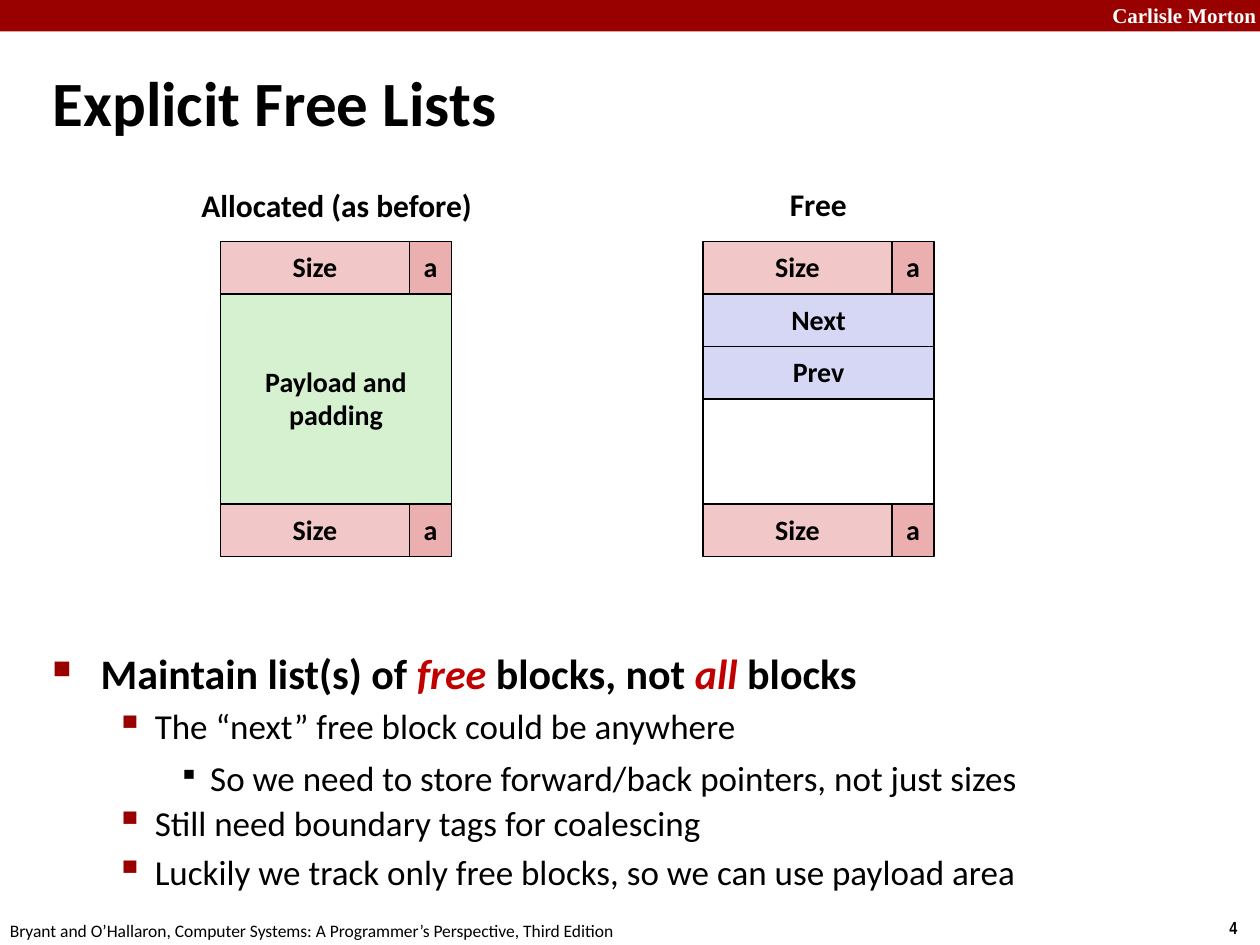
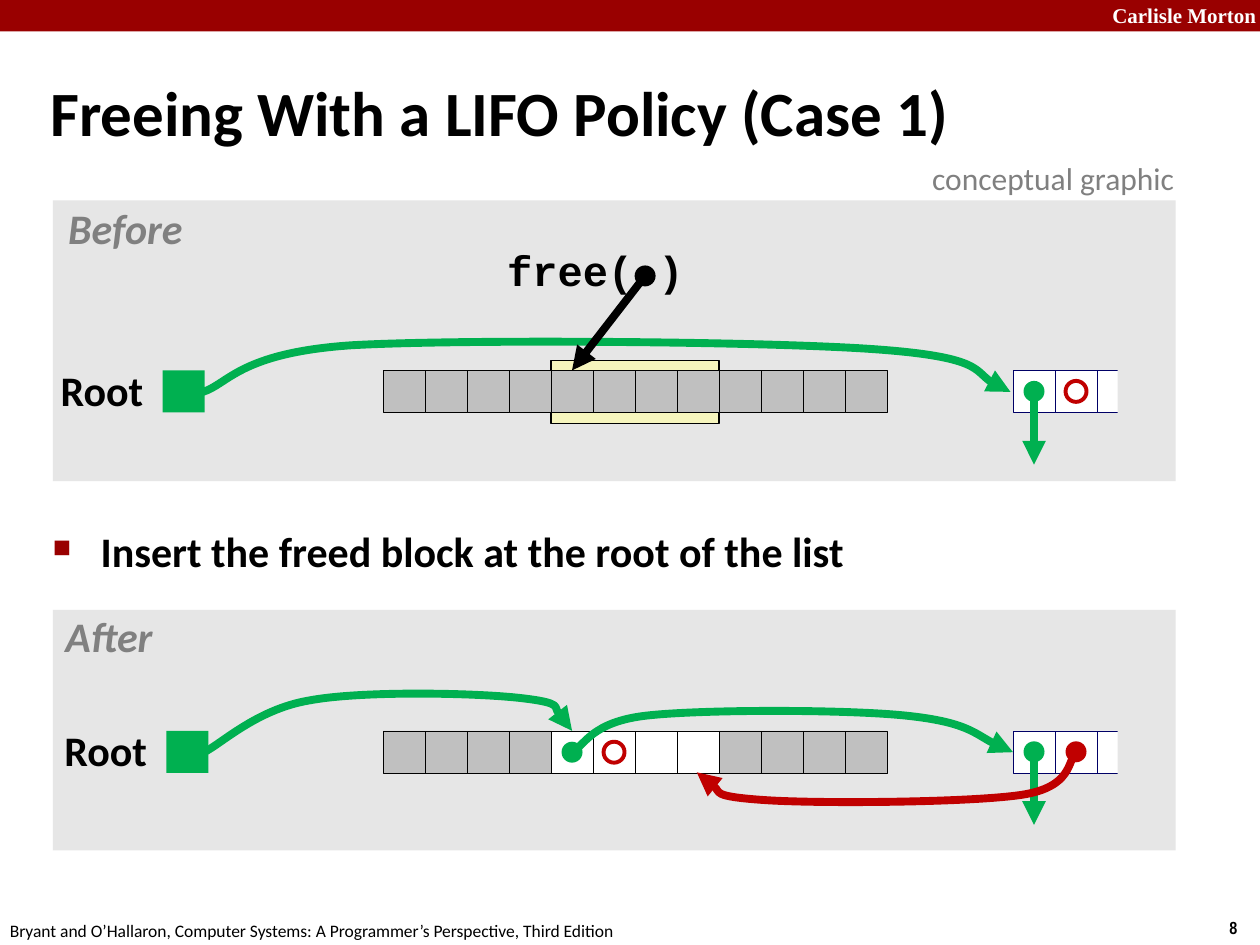
from lxml import etree
from pptx import Presentation
from pptx.dml.color import RGBColor
from pptx.enum.shapes import MSO_CONNECTOR, MSO_SHAPE
from pptx.enum.text import MSO_ANCHOR, PP_ALIGN
from pptx.oxml.ns import qn
from pptx.util import Inches, Pt

RECT, OVAL = MSO_SHAPE.RECTANGLE, MSO_SHAPE.OVAL
STRAIGHT = MSO_CONNECTOR.STRAIGHT
LEFT, CENTER, RIGHT = PP_ALIGN.LEFT, PP_ALIGN.CENTER, PP_ALIGN.RIGHT
TOP, MIDDLE = MSO_ANCHOR.TOP, MSO_ANCHOR.MIDDLE

COLORS = {
    "band": "990000", "black": "000000", "white": "FFFFFF", "muted": "808080",
    "panel": "E6E6E6", "green": "00B050", "red": "C00000", "navy": "000066",
    "size": "F1C7C7", "flag": "EBAFAF", "payload": "D5F1CF", "pointer": "D6D6F5",
    "used": "C0C0C0", "highlight": "F6F5BD",
}
BODY_FONT = "Calibri"
BOOK = ("Bryant and O’Hallaron, Computer Systems: "
        "A Programmer’s Perspective, Third Edition")

# Per level: indent, hanging, text size, bold, bullet, bullet size %, bullet colour
LEVELS = [
    (0.38, 0.38, 24, True, "■", 60, "band"),
    (0.81, 0.31, 20, False, "▪", 110, "band"),
    (1.25, 0.25, 20, False, "▪", 80, "black"),
]

ROW = 5 / 12         # height of one word in a block diagram
CELL = 1 / 3         # side of one word in a memory strip
DOT = CELL / 2
STRIP_LEFT, NEXT_BLOCK_LEFT = 3.04, 8.04


def rgb(name):
    return RGBColor.from_string(COLORS[name])


def inches(values):
    return [Inches(value) for value in values]


class Deck:
    """Holds the shared style and the slide being drawn."""

    def __init__(self):
        self.prs = Presentation()
        self.prs.slide_width, self.prs.slide_height = Inches(10), Inches(7.5)
        self.shapes = None

    def new_slide(self, number, title, title_box):
        self.shapes = self.prs.slides.add_slide(self.prs.slide_layouts[6]).shapes
        self.shape((0, 0, 10, 0.25), "band")
        self.text((8.64, -0.03, 1.43, 0.3), "Carlisle Morton", 12, "white", bold=True,
                  font="Times New Roman", align=RIGHT)
        self.text((9.66, 7.23, 0.34, 0.27), number, 10, bold=True, font="Arial Narrow")
        self.text((-0.02, 7.25, 5.08, 0.27), BOOK, 10)
        self.text(title_box, title, 36, bold=True, spacing=0.87, anchor=MIDDLE, wrap=True)

    def fill_frame(self, frame, content, size, color="black", bold=False, italic=False,
                   font=BODY_FONT, align=LEFT, spacing=1.0, wrap=False):
        frame.word_wrap = wrap
        for index, line in enumerate(content.split("\n")):
            paragraph = frame.add_paragraph() if index else frame.paragraphs[0]
            paragraph.text = line
            paragraph.alignment = align
            paragraph.line_spacing = spacing
            self.set_font(paragraph.font, size, color, bold, italic, font)

    def set_font(self, font, size, color, bold, italic=False, name=BODY_FONT):
        font.name, font.size = name, Pt(size)
        font.bold, font.italic = bold, italic
        font.color.rgb = rgb(color)

    def text(self, box, content, size, color="black", anchor=TOP, inset=0.1, **style):
        frame = self.shapes.add_textbox(*inches(box)).text_frame
        frame.vertical_anchor = anchor
        frame.margin_left = frame.margin_right = Inches(inset)
        self.fill_frame(frame, content, size, color, **style)

    def label(self, box, content, color="black", **style):
        self.text(box, content, 24, color, inset=0.05, bold=True, align=CENTER,
                  spacing=0.9, **style)

    def shape(self, box, fill=None, line=None, width=1.0, kind=RECT, content=""):
        shape = self.shapes.add_shape(kind, *inches(box))
        shape.shadow.inherit = False
        if fill:
            shape.fill.solid()
            shape.fill.fore_color.rgb = rgb(fill)
        else:
            shape.fill.background()
        if line:
            self.stroke(shape.line, line, width)
        else:
            shape.line.fill.background()
        if content:
            self.fill_frame(shape.text_frame, content, 16, bold=True, align=CENTER,
                            spacing=0.98)

    def stroke(self, line, color, width):
        line.color.rgb = rgb(color)
        line.width = Pt(width)

    def dot(self, x, y, color, hollow=False):
        """A disc or ring centred on x, y."""
        box = (x - DOT / 2, y - DOT / 2, DOT, DOT)
        if hollow:
            self.shape(box, line=color, width=2.25, kind=OVAL)
        else:
            self.shape(box, color, kind=OVAL)

    def point_line(self, line_shape, color):
        """Give a line its heavy stroke and arrowhead."""
        self.stroke(line_shape.line, color, 4.5)
        outline = line_shape._element.spPr.find(qn("a:ln"))
        etree.SubElement(outline, qn("a:tailEnd"), type="triangle")

    def arrow(self, start, end, color):
        connector = self.shapes.add_connector(STRAIGHT, *inches(start + end))
        self.point_line(connector, color)
        etree.SubElement(connector._element.spPr, qn("a:effectLst"))

    def curve(self, start, points, color):
        """Bézier arrow; points come in threes: two controls and an end."""
        builder = self.shapes.build_freeform(*inches(start), scale=1.0)
        builder.add_line_segments([inches(point) for point in points], close=False)
        curve = builder.convert_to_shape()
        curve.shadow.inherit = False
        curve.fill.background()
        # Merge each three straight segments into one cubic segment
        segments = list(curve._element.iter(qn("a:lnTo")))
        for i in range(0, len(segments), 3):
            cubic = segments[i]
            for other in segments[i + 1:i + 3]:
                cubic.append(other[0])
                other.getparent().remove(other)
            cubic.tag = qn("a:cubicBezTo")
        self.point_line(curve, color)

    def bullets(self, box, items):
        """Items are (level, line spacing, runs); every second run is emphasised."""
        frame = self.shapes.add_textbox(*inches(box)).text_frame
        frame.word_wrap = True
        for index, (level, spacing, runs) in enumerate(items):
            indent, hanging, size, bold, mark, percent, color = LEVELS[level]
            paragraph = frame.add_paragraph() if index else frame.paragraphs[0]
            paragraph.level = level
            paragraph.line_spacing = spacing
            paragraph.space_before = Pt(size * 0.2)
            props = paragraph._p.get_or_add_pPr()
            props.set("marL", str(Inches(indent)))
            props.set("indent", str(-Inches(hanging)))
            bullet_color = etree.SubElement(props, qn("a:buClr"))
            etree.SubElement(bullet_color, qn("a:srgbClr"), val=COLORS[color])
            etree.SubElement(props, qn("a:buSzPct"), val=str(percent * 1000))
            etree.SubElement(props, qn("a:buChar"), char=mark)
            self.set_font(paragraph.font, size, "black", bold)
            for position, words in enumerate(runs):
                run = paragraph.add_run()
                run.text = words
                if position % 2:
                    run.font.italic = True
                    run.font.color.rgb = rgb("red")


def draw_block(deck, left, fields):
    """Block with boundary tags; fields are (content, fill, first row, rows)."""
    top, size_width = 23 / 12, 1.5
    for content, fill, first_row, rows in fields:
        deck.shape((left, top + first_row * ROW, size_width + CELL, rows * ROW),
                   fill, "black", content=content)
    for row in (0, 5):
        y = top + row * ROW
        deck.shape((left, y, size_width, ROW), "size", "black", content="Size")
        deck.shape((left + size_width, y, CELL, ROW), "flag", "black", content="a")


def draw_memory(deck, top, root_left, freed=()):
    """Root pointer, memory strip and the first block already in the list."""
    middle = top + CELL / 2
    deck.label((root_left - 0.86, top - 0.05, 0.76, 0.47), "Root")
    deck.shape((root_left, top, CELL, CELL), "green")
    for i in range(12):
        deck.shape((STRIP_LEFT + i * CELL, top, CELL, CELL),
                   "white" if i in freed else "used", "black", 0.25)
    # Next block, cut off on its right
    for i in range(3):
        deck.shape((NEXT_BLOCK_LEFT + i * CELL, top, CELL, CELL), "white", "navy", 0.25)
    deck.shape((8.87, top - 0.08, CELL, 0.5), "panel")
    next_x = NEXT_BLOCK_LEFT + CELL / 2
    deck.dot(next_x, middle, "green")
    deck.arrow((next_x, middle), (next_x, middle + 0.58), "green")
    deck.dot(next_x + CELL, middle, "red", hollow=not freed)


def explicit_free_lists(deck):
    deck.new_slide("4", "Explicit Free Lists", (0.32, 0.53, 6.64, 0.63))
    deck.bullets((0.32, 5.15, 9.09, 2.02), [
        (0, 0.85, ["Maintain list(s) of ", "free", " blocks, not ", "all", " blocks"]),
        (1, 1.0, ["The “next” free block could be anywhere"]),
        (2, 1.07, ["So we need to store forward/back pointers, not just sizes"]),
        (1, 0.9, ["Still need boundary tags for coalescing"]),
        (1, 1.0, ["Luckily we track only free blocks, so we can use payload area"]),
    ])

    # Block layouts
    draw_block(deck, 1.75, [("Payload and\npadding", "payload", 1, 4)])
    draw_block(deck, 5.58, [("", "white", 3, 2), ("Next", "pointer", 1, 1),
                            ("Prev", "pointer", 2, 1)])
    deck.text((1.5, 1.43, 2.37, 0.4), "Allocated (as before)", 18, bold=True)
    deck.text((6.17, 1.42, 0.66, 0.4), "Free", 18, bold=True)


def lifo_case_1(deck):
    deck.new_slide("8", "Freeing With a LIFO Policy (Case 1)", (0.3, 0.5, 9.53, 0.86))
    deck.text((7.3, 1.21, 2.17, 0.4), "conceptual graphic", 18, "muted")
    deck.bullets((0.32, 4.15, 9.09, 0.61),
                 [(0, 0.95, ["Insert the freed block at the root of the list"])])

    # Before: the root points to the next block
    deck.shape((0.42, 1.59, 8.91, 2.23), "panel")
    deck.label((0.48, 1.6, 1.03, 0.47), "Before", "muted", italic=True)
    deck.shape((STRIP_LEFT + 4 * CELL, 2.86, 4 * CELL, 0.5), "highlight", "black", 0.75)
    deck.curve((1.61, 3.11), [
        (1.81, 3.05), (1.9, 2.8), (2.79, 2.74), (3.67, 2.69), (6.05, 2.71), (6.92, 2.77),
        (7.79, 2.83), (7.79, 3.04), (8.02, 3.11)], "green")
    draw_memory(deck, 2.94, 1.29)
    deck.label((3.97, 1.94, 1.51, 0.47), "free( )", font="Courier New")
    deck.dot(5.12, 2.19, "black")
    deck.arrow((5.12, 2.19), (4.54, 2.94), "black")

    # After: the freed block sits between them
    deck.shape((0.42, 4.84, 8.91, 1.91), "panel")
    deck.label((0.46, 4.84, 0.81, 0.47), "After", "muted", italic=True)
    draw_memory(deck, 5.8, 1.32, freed=range(4, 8))
    freed_next = STRIP_LEFT + 4.5 * CELL
    deck.dot(freed_next, 5.97, "green")
    deck.dot(freed_next + CELL, 5.97, "red", hollow=True)
    deck.curve((4.54, 5.97), [
        (4.64, 5.92), (4.69, 5.73), (5.13, 5.68), (5.57, 5.63), (6.71, 5.63), (7.19, 5.68),
        (7.67, 5.73), (7.86, 5.91), (8.04, 5.97)], "green")
    deck.curve((8.54, 5.98), [
        (8.47, 6.03), (8.52, 6.25), (8.1, 6.31), (7.69, 6.37), (6.49, 6.38), (6.06, 6.35),
        (5.63, 6.32), (5.64, 6.18), (5.53, 6.13)], "red")
    deck.curve((1.62, 5.97), [
        (1.76, 5.9), (2.04, 5.63), (2.45, 5.56), (2.87, 5.48), (3.78, 5.5), (4.13, 5.54),
        (4.48, 5.58), (4.46, 5.74), (4.54, 5.8)], "green")


def main():
    deck = Deck()
    explicit_free_lists(deck)
    lifo_case_1(deck)
    deck.prs.save("out.pptx")


if __name__ == "__main__":
    main()
